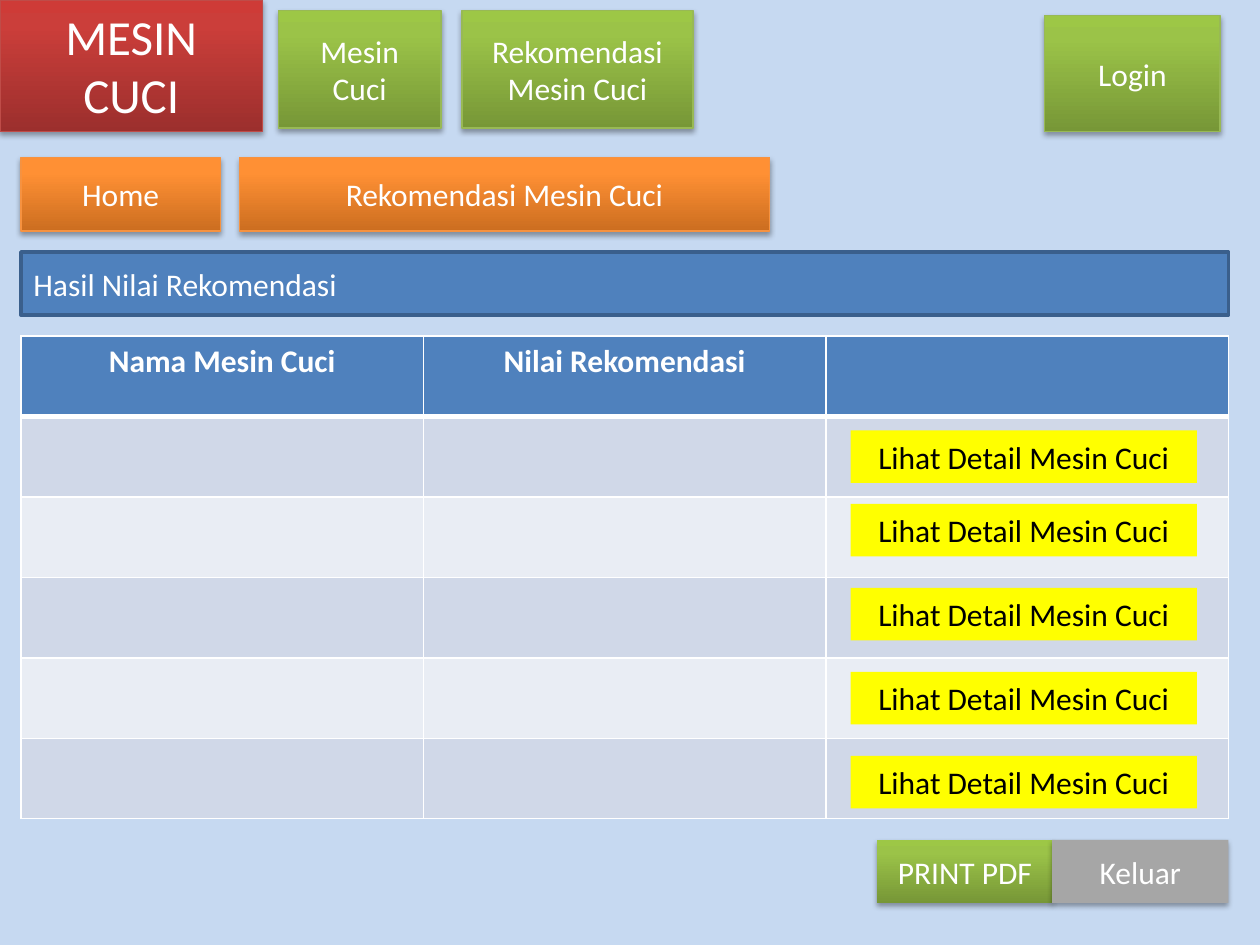
from dataclasses import dataclass
from lxml import etree
from pptx import Presentation
from pptx.dml.color import RGBColor
from pptx.enum.shapes import MSO_SHAPE
from pptx.enum.text import MSO_ANCHOR, PP_ALIGN
from pptx.oxml.ns import qn
from pptx.util import Pt

RECT = MSO_SHAPE.RECTANGLE
TOP, MIDDLE = MSO_ANCHOR.TOP, MSO_ANCHOR.MIDDLE
LEFT, CENTER = PP_ALIGN.LEFT, PP_ALIGN.CENTER
PX = 7620  # EMU in one px, 120 px to the inch


@dataclass(frozen=True)
class Theme:
    font: str = "Calibri"
    body: int = 18
    title: int = 28
    background: str = "C6D9F1"
    white: str = "FFFFFF"
    black: str = "000000"
    blue: str = "4F81BD"
    blue_edge: str = "3A5F8C"
    grey: str = "A6A6A6"
    yellow: str = "FFFF00"
    bands: tuple = ("D0D8E8", "E9EDF4")
    # Gradients run from the bottom edge to the top edge
    red: tuple = ("9C2F2D", "CB3E3A", "CE3B37")
    red_edge: str = "BF4C48"
    orange: tuple = ("CC6E20", "FF9034", "FF9136")
    orange_edge: str = "F69240"
    green: tuple = ("779737", "9BC348", "9DC746")
    green_edge: str = "98B955"


def rgb(color):
    return RGBColor.from_string(color)


def add_xml(parent, tag, **attrs):
    return etree.SubElement(parent, qn(tag), {k: str(v) for k, v in attrs.items()})


class SlideBuilder:
    def __init__(self, prs, theme):
        self.theme = theme
        self.s = prs.slides.add_slide(prs.slide_layouts[6])
        fill = self.s.background.fill
        fill.solid()
        fill.fore_color.rgb = rgb(theme.background)

    def text(self, tf, text, color, size=None, align=CENTER, bold=False):
        p = tf.paragraphs[0]
        p.alignment = align
        r = p.add_run()
        r.text = text
        formats = {"name": self.theme.font, "size": Pt(size or self.theme.body), "bold": bold}
        for name, value in formats.items():
            setattr(r.font, name, value)
        r.font.color.rgb = rgb(color)

    def gradient(self, sp, colors):
        sp.fill.gradient()
        sp.fill.gradient_angle = 90
        stops = sp._element.spPr.find(qn("a:gradFill")).find(qn("a:gsLst"))
        stops.clear()
        for pos, color in zip((0, 80000, 100000), colors):
            add_xml(add_xml(stops, "a:gs", pos=pos), "a:srgbClr", val=color)

    def soft_shadow(self, sp):
        effects = sp._element.spPr.find(qn("a:effectLst"))
        shadow = add_xml(effects, "a:outerShdw", blurRad=40000, dist=23000,
                         dir=5400000, rotWithShape=0)
        color = add_xml(shadow, "a:srgbClr", val=self.theme.black)
        add_xml(color, "a:alpha", val=35000)

    def box(self, text, x, y, w, h, fill, edge=None, edge_width=0.75, shadow=True,
            color=None, size=None, align=CENTER, anchor=MIDDLE):
        sp = self.s.shapes.add_shape(RECT, x * PX, y * PX, w * PX, h * PX)
        sp.shadow.inherit = False
        if isinstance(fill, tuple):
            self.gradient(sp, fill)
        else:
            sp.fill.solid()
            sp.fill.fore_color.rgb = rgb(fill)
        if edge:
            sp.line.color.rgb = rgb(edge)
            sp.line.width = Pt(edge_width)
        else:
            sp.line.fill.background()
        if shadow:
            self.soft_shadow(sp)
        tf = sp.text_frame
        for name, value in {"word_wrap": True, "vertical_anchor": anchor}.items():
            setattr(tf, name, value)
        self.text(tf, text, color or self.theme.white, size, align)

    def borders(self, cell, bottom):
        tc_pr = cell._tc.get_or_add_tcPr()
        widths = {"a:lnL": 1, "a:lnR": 1, "a:lnT": 1, "a:lnB": bottom}
        for i, (tag, width) in enumerate(widths.items()):
            ln = etree.Element(qn(tag), w=str(Pt(width)))
            add_xml(add_xml(ln, "a:solidFill"), "a:srgbClr", val=self.theme.white)
            tc_pr.insert(i, ln)

    def table(self, headers, rows, x, y, w, h):
        t = self.theme
        table = self.s.shapes.add_table(rows, len(headers), x * PX, y * PX,
                                        w * PX, h * PX).table
        for row in range(rows):
            for col, header in enumerate(headers):
                cell = table.cell(row, col)
                cell.fill.solid()
                cell.fill.fore_color.rgb = rgb(t.bands[(row - 1) % 2] if row else t.blue)
                self.borders(cell, 1 if row else 3)
                if row == 0 and header:
                    self.text(cell.text_frame, header, t.white, bold=True)


def main():
    prs = Presentation()
    prs.slide_width, prs.slide_height = 1200 * PX, 900 * PX
    t = Theme()
    b = SlideBuilder(prs, t)

    # Title and top menu
    b.box("MESIN CUCI", 0, 0, 250, 125, t.red, t.red_edge, size=t.title, anchor=TOP)
    b.box("Mesin Cuci", 265, 10, 155, 112, t.green, t.green_edge)
    b.box("Rekomendasi Mesin Cuci", 440, 10, 220, 112, t.green, t.green_edge)
    b.box("Login", 995, 15, 167, 110, t.green, t.green_edge)

    # Breadcrumb
    b.box("Home", 20, 150, 190, 70, t.orange, t.orange_edge)
    b.box("Rekomendasi Mesin Cuci", 228, 150, 505, 70, t.orange, t.orange_edge)

    # Results
    b.box("Hasil Nilai Rekomendasi", 20, 240, 1150, 60, t.blue, t.blue_edge,
          edge_width=2, shadow=False, align=LEFT)
    b.table(("Nama Mesin Cuci", "Nilai Rekomendasi", ""), 6, 20, 320, 1150, 460)
    for y in (410, *range(480, 721, 80)):
        b.box("Lihat Detail Mesin Cuci", 810, y, 330, 50, t.yellow,
              shadow=False, color=t.black)

    # Bottom actions
    b.box("PRINT PDF", 835, 800, 168, 60, t.green)
    b.box("Keluar", 1002, 800, 168, 60, t.grey)

    prs.save("out.pptx")


if __name__ == "__main__":
    main()
